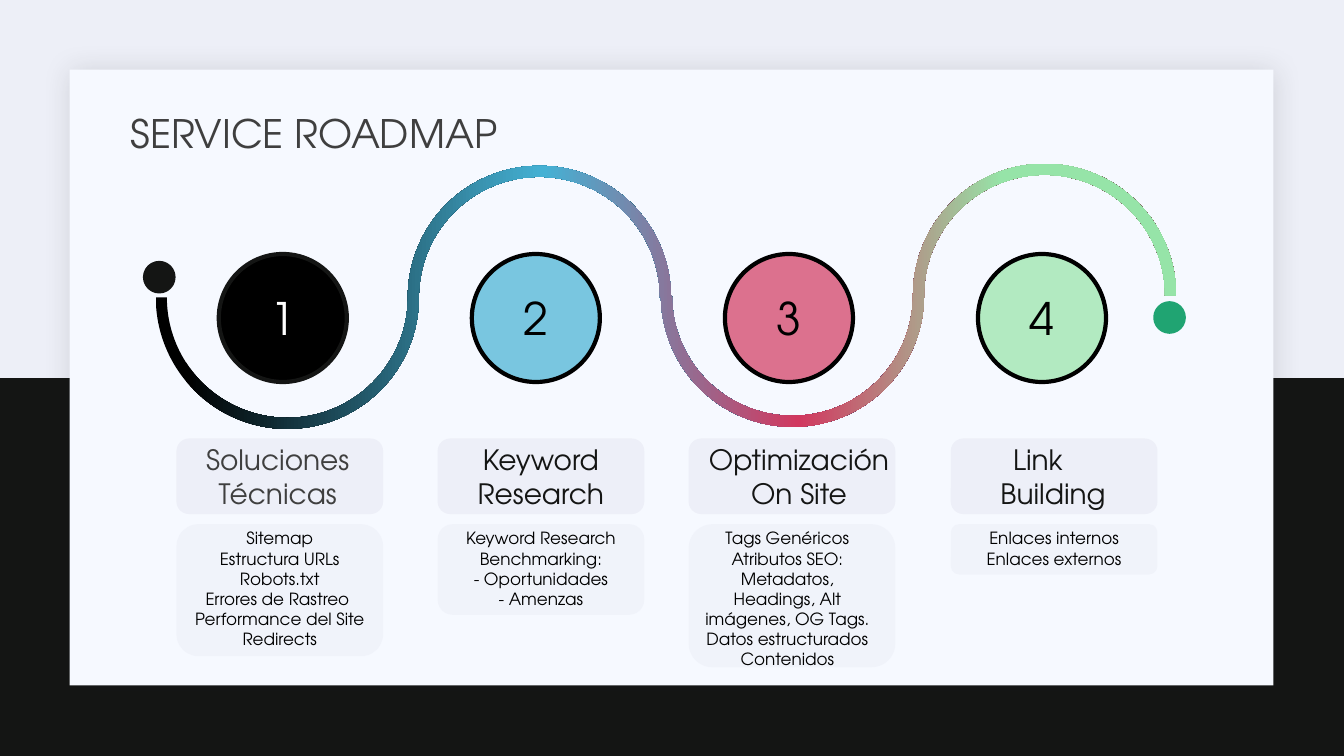
from lxml import etree
from pptx import Presentation
from pptx import util as u
from pptx.dml.color import RGBColor
from pptx.enum import shapes, text
from pptx.oxml.ns import qn

FONT = "TeX Gyre Adventor"
BLACK = RGBColor(0x00, 0x00, 0x00)
WHITE = RGBColor(0xFF, 0xFF, 0xFF)
INK = RGBColor(0x14, 0x15, 0x14)
GRAY = RGBColor(0x3F, 0x3F, 0x3F)
SHADOW = RGBColor(0x1F, 0x21, 0x25)
BACKGROUND = RGBColor(0xED, 0xEF, 0xF7)
PANEL = RGBColor(0xF6, 0xF9, 0xFF)
BOX = RGBColor(0xEC, 0xEE, 0xF7)
BLUE = RGBColor(0x45, 0xB1, 0xD4)
ROSE = RGBColor(0xD1, 0x38, 0x5F)
GREEN = RGBColor(0x96, 0xE4, 0xA8)
EMERALD = RGBColor(0x20, 0xA4, 0x72)

RECT = shapes.MSO_SHAPE.RECTANGLE
ROUNDED = shapes.MSO_SHAPE.ROUNDED_RECTANGLE
OVAL = shapes.MSO_SHAPE.OVAL
CENTER = text.PP_ALIGN.CENTER

BOX_LEFTS = [1.75, 4.34, 6.83, 9.43]
# left, lines, colour, left and right inset, left margin, first-line indent
LABELS = [
    (1.72, ["Soluciones Técnicas"], GRAY, (0.1, 0.1), 0.1, -0.1),
    (4.33, ["Keyword Research"], INK, (0, 0), 0.1, 0),
    (6.89, ["Optimización", "On Site"], INK, (0, 0), 0.1, 0),
    (9.41, ["Link", "Building"], INK, (0, 0.2), 0.3, -0.3),
]
LABELS[0] = LABELS[0][:5] + (0,)
# lines, box height, text width, text height
DETAILS = [
    (["Sitemap", "Estructura URLs", "Robots.txt", "Errores de Rastreo ",
      "Performance del Site Redirects"], 1.31, 2.05, 1.31),
    (["Keyword Research Benchmarking:", "- Oportunidades", "- Amenzas"], 0.9, 2.05, 0.91),
    (["Tags Genéricos", "Atributos SEO: Metadatos, Headings, Alt imágenes, OG Tags.",
      "Datos estructurados Contenidos"], 1.42, 1.96, 1.51),
    (["Enlaces internos", "Enlaces externos"], 0.5, 2.05, 0.5),
]
# fill, opacity, line colour, number colour
CIRCLES = [(BLACK, 100, INK, WHITE), (BLUE, 70, BLACK, BLACK),
           (ROSE, 70, BLACK, BLACK), (GREEN, 70, BLACK, BLACK)]
RIBBON_STOPS = [(0, BLACK), (3, BLACK), (38, BLUE), (63, ROSE), (83, GREEN), (100, GREEN)]
ARC_CENTERS = [(2.85, 2.95), (5.35, 2.95), (7.86, 2.93), (10.36, 2.93)]


def add_color(parent, color, opacity=100):
    element = etree.SubElement(parent, qn("a:srgbClr"), val=str(color))
    etree.SubElement(element, qn("a:alpha"), val=str(opacity * 1000))


def add_shape(parent, preset, box, fill, opacity=100, line=None, line_width=0):
    shape = parent.shapes.add_shape(preset, *map(u.Inches, box))
    shape.shadow.inherit = False
    shape.fill.solid()
    shape.fill.fore_color.rgb = fill
    if opacity < 100:
        color = shape.element.spPr.find(qn("a:solidFill")).find(qn("a:srgbClr"))
        etree.SubElement(color, qn("a:alpha"), val=str(opacity * 1000))
    if line is None:
        shape.line.fill.background()
    else:
        shape.line.color.rgb = line
        shape.line.width = u.Pt(line_width)
    return shape


def add_run(paragraph, content, size, color):
    run = paragraph.add_run()
    run.text = content
    run.font.name = FONT
    run.font.size = u.Pt(size)
    run.font.color.rgb = color


def add_text_frame(parent, box):
    frame = parent.shapes.add_textbox(*map(u.Inches, box)).text_frame
    frame.word_wrap = True
    return frame


def add_panel(slide):
    add_shape(slide, RECT, (0, 3.75, 13.33, 3.75), INK)
    panel = add_shape(slide, RECT, (0.69, 0.69, 11.94, 6.11), PANEL)
    effects = panel.element.spPr.find(qn("a:effectLst"))
    shadow = etree.SubElement(effects, qn("a:outerShdw"), blurRad=str(u.Pt(20)),
                              dist=str(u.Pt(2)), dir=str(45 * 60000), rotWithShape="0")
    add_color(shadow, SHADOW, 15)


def add_title(slide):
    frame = add_text_frame(slide, (1.2, 1.03, 11, 0.64))
    frame.vertical_anchor = text.MSO_ANCHOR.MIDDLE
    frame.paragraphs[0].line_spacing = 0.9
    add_run(frame.paragraphs[0], "SERVICE ROADMAP", 28, GRAY)


def ribbon_edge(offset, radius=1.25):
    """Start, middle and end of each half circle, with its radius and turn."""
    edge = []
    for index, (x, y) in enumerate(ARC_CENTERS):
        side = -1 if index % 2 else 1
        reach = radius + side * offset
        edge += [((x - reach, y), reach, -side), ((x, y + side * reach), reach, -side),
                 ((x + reach, y), reach, -side)]
    return edge


def add_ribbon(slide, half_width=0.055):
    """Outline the wave by corner points, then bend each half circle with arcTo."""
    there = ribbon_edge(half_width)
    back = [(point, reach, -turn) for point, reach, turn in ribbon_edge(-half_width)[::-1]]
    outline = there + back
    points = [(u.Inches(x), u.Inches(y)) for (x, y), _, _ in outline]
    builder = slide.shapes.build_freeform(*points[0])
    builder.add_line_segments(points[1:], close=True)
    ribbon = builder.convert_to_shape()
    ribbon.shadow.inherit = False
    ribbon.line.fill.background()

    wave = next(ribbon.element.spPr.iter(qn("a:path")))
    segments = list(wave)
    for middle in range(1, len(outline), 3):
        _, reach, turn = outline[middle]
        start = 180 if middle < len(there) else 0
        size = str(u.Inches(reach))
        arc = etree.Element(qn("a:arcTo"), wR=size, hR=size, stAng=str(start * 60000),
                            swAng=str(turn * 180 * 60000))
        wave.replace(segments[middle], arc)
        wave.remove(segments[middle + 1])

    ribbon.fill.gradient()
    ribbon.fill.gradient_angle = 0
    stops = ribbon.element.spPr.find(qn("a:gradFill")).find(qn("a:gsLst"))
    for stop in list(stops):
        stops.remove(stop)
    for position, color in RIBBON_STOPS:
        add_color(etree.SubElement(stops, qn("a:gs"), pos=str(position * 1000)), color)


def add_circle(slide, index, fill, opacity, line, number_color):
    circle = add_shape(slide, OVAL, (2.17 + 2.51 * index, 2.52, 1.27, 1.27),
                       fill, opacity, line, 3)
    frame = circle.text_frame
    frame.vertical_anchor = text.MSO_ANCHOR.MIDDLE
    frame.paragraphs[0].alignment = CENTER
    add_run(frame.paragraphs[0], str(index + 1), 32, number_color)


def add_label(slide, left, lines, color, insets, margin, indent):
    frame = add_text_frame(slide, (left, 4.34, 1.97, 0.77))
    frame.margin_left, frame.margin_right = map(u.Inches, insets)
    paragraph = frame.paragraphs[0]
    paragraph.alignment = CENTER
    properties = paragraph._p.get_or_add_pPr()
    properties.set("marL", str(u.Inches(margin)))
    properties.set("indent", str(u.Inches(indent)))
    for index, line in enumerate(lines):
        if index:
            paragraph.add_line_break()
        add_run(paragraph, line, 20, color)


def add_details(slide, left, lines, box_height, text_width, text_height):
    group = slide.shapes.add_group_shape()
    add_shape(group, ROUNDED, (left, 5.2, 2.05, box_height), BOX, 50)
    frame = add_text_frame(group, (left, 5.19, text_width, text_height))
    for index, line in enumerate(lines):
        paragraph = frame.add_paragraph() if index else frame.paragraphs[0]
        paragraph.alignment = CENTER
        add_run(paragraph, line, 12, BLACK)


def main():
    presentation = Presentation()
    presentation.slide_width = u.Inches(13.33)
    presentation.slide_height = u.Inches(7.5)
    slide = presentation.slides.add_slide(presentation.slide_layouts[6])
    slide.background.fill.solid()
    slide.background.fill.fore_color.rgb = BACKGROUND

    add_panel(slide)
    for left in BOX_LEFTS:
        add_shape(slide, ROUNDED, (left, 4.35, 2.05, 0.75), BOX, 87)
    for index, circle in enumerate(CIRCLES):
        add_circle(slide, index, *circle)
    add_ribbon(slide)
    add_shape(slide, OVAL, (1.46, 2.63, 0.24, 0.24), INK, line=INK, line_width=6)
    add_shape(slide, OVAL, (11.48, 3.03, 0.24, 0.24), EMERALD, line=EMERALD, line_width=6)
    add_title(slide)
    for label in LABELS:
        add_label(slide, *label)
    for left, details in zip(BOX_LEFTS, DETAILS):
        add_details(slide, left, *details)
    presentation.save("out.pptx")


if __name__ == "__main__":
    main()
